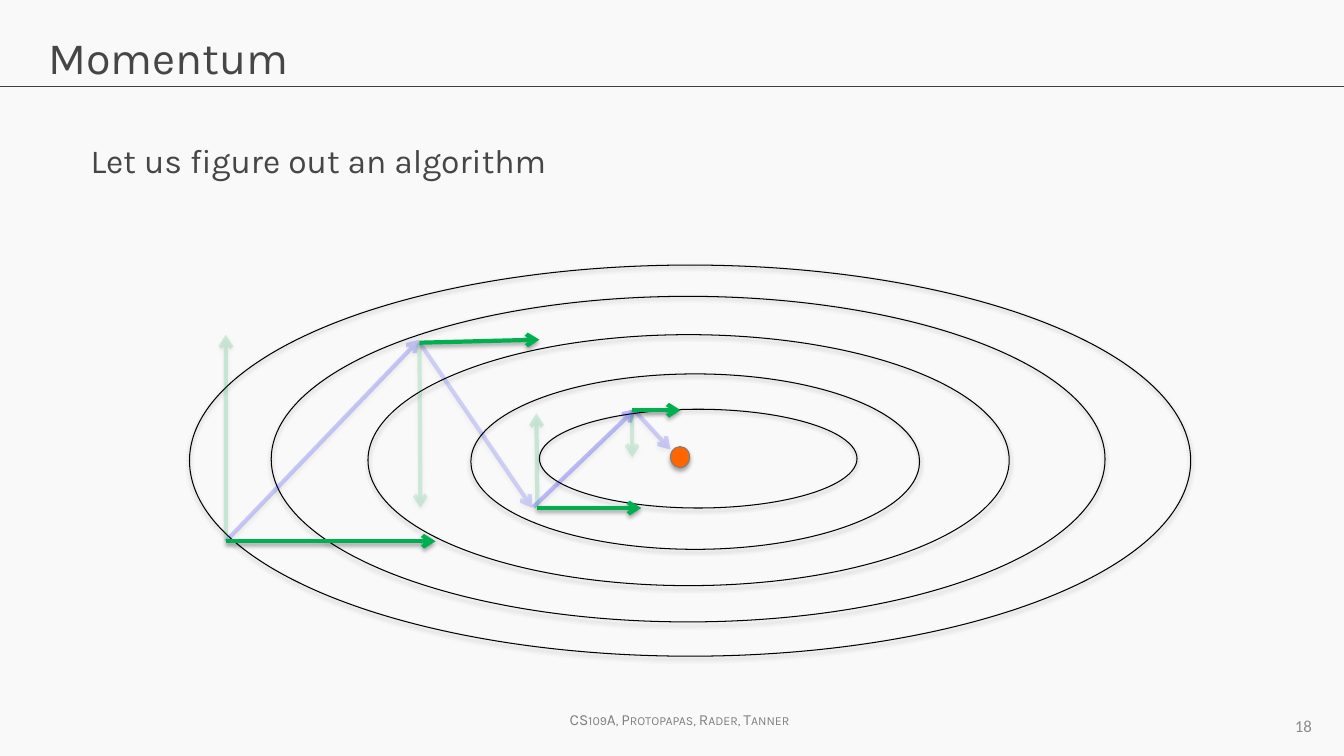
from lxml.etree import SubElement
from pptx import Presentation
from pptx.dml.color import RGBColor
from pptx.enum.shapes import MSO_CONNECTOR, MSO_SHAPE
from pptx.enum.text import MSO_ANCHOR, MSO_AUTO_SIZE, PP_ALIGN
from pptx.oxml.ns import qn
from pptx.util import Inches, Pt

PAPER = RGBColor(0xF9, 0xF9, 0xF9)
INK = RGBColor(0x46, 0x46, 0x46)
RULE = RGBColor(0x40, 0x40, 0x40)
FOOTER = RGBColor(0x80, 0x80, 0x80)
NUMBER = RGBColor(0x8C, 0x8C, 0x8C)
BLACK = RGBColor(0, 0, 0)
ORANGE = RGBColor(0xFF, 0x66, 0x00)
GRAY = RGBColor(0x7F, 0x7F, 0x7F)
BLUE = RGBColor(0, 0, 0xFF)
GREEN = RGBColor(0x00, 0xB0, 0x50)

CONTOURS = [
    (5.35, 4.06, 3.15, 0.98),
    (4.67, 3.71, 4.45, 1.74),
    (3.65, 3.32, 6.36, 2.49),
    (2.69, 2.94, 8.27, 3.23),
    (1.88, 2.63, 9.93, 3.88),
]
STEPS = [
    ((2.24, 5.37), (4.16, 3.37), 19),
    ((4.17, 3.41), (5.28, 5.04), 14),
    ((6.3, 4.08), (6.65, 4.46), 16),
    ((5.29, 5.03), (6.3, 4.06), 23),
]
COMPONENTS = [
    ((2.24, 5.37), (4.32, 5.37), (2.24, 3.32), 16),
    ((4.16, 3.4), (5.35, 3.37), (4.17, 5.04), 15),
    ((5.33, 5.04), (6.36, 5.04), (5.32, 4.1), 16),
    ((6.27, 4.07), (6.75, 4.07), (6.27, 4.54), 15),
]


def set_effects(shape, shadow=True):
    """Give a shape a soft drop shadow, or none at all."""
    properties = shape._element.spPr
    for old in properties.findall(qn("a:effectLst")):
        properties.remove(old)
    effects = SubElement(properties, qn("a:effectLst"))
    if shadow:
        outer = SubElement(effects, qn("a:outerShdw"), blurRad="40000",
                           dist="23000", dir="5400000", rotWithShape="0")
        color = SubElement(outer, qn("a:srgbClr"), val="000000")
        SubElement(color, qn("a:alpha"), val="35000")


def write(box, text, size, color, font="Karla", align=PP_ALIGN.LEFT,
          anchor=MSO_ANCHOR.TOP, wrap=True):
    """Fill a box with one formatted paragraph and return its run."""
    frame = box.text_frame
    frame.text = text
    frame.word_wrap = wrap
    frame.auto_size = MSO_AUTO_SIZE.NONE
    frame.vertical_anchor = anchor
    para = frame.paragraphs[0]
    para.alignment = align
    span = para.runs[0]
    span.font.size = Pt(size)
    span.font.name = font
    span.font.color.rgb = color
    return span


def add_label(page, place, *args, **options):
    """Add a text box at a place and return its run."""
    box = page.shapes.add_textbox(*map(Inches, place))
    return write(box, *args, **options)


def add_ellipse(page, place, line, fill=None):
    """Draw a shadowed ellipse, hollow unless a fill is given."""
    ellipse = page.shapes.add_shape(MSO_SHAPE.OVAL, *map(Inches, place))
    if fill is None:
        ellipse.fill.background()
    else:
        ellipse.fill.solid()
        ellipse.fill.fore_color.rgb = fill
    ellipse.line.color.rgb = line
    ellipse.line.width = Pt(0.75)
    set_effects(ellipse)


def add_line(page, start, end, color, width):
    """Draw a plain straight line and return it."""
    line = page.shapes.add_connector(MSO_CONNECTOR.STRAIGHT,
                                     *map(Inches, start + end))
    line.line.color.rgb = color
    line.line.width = Pt(width)
    set_effects(line, shadow=False)
    return line


def add_arrow(page, start, end, color, opacity=100):
    """Draw a thick shadowed arrow with the given opacity in percent."""
    arrow = add_line(page, start, end, color, 3)
    outline = arrow.line._get_or_add_ln()
    if opacity < 100:
        tint = outline.find(".//" + qn("a:srgbClr"))
        SubElement(tint, qn("a:alpha"), val=str(opacity * 1000))
    SubElement(outline, qn("a:tailEnd"), type="arrow")
    set_effects(arrow)


def main():
    """Build the momentum slide."""
    deck = Presentation()
    deck.slide_width, deck.slide_height = Inches(13.33), Inches(7.5)
    page = deck.slides.add_slide(deck.slide_layouts[5])
    page.background.fill.solid()
    page.background.fill.fore_color.rgb = PAPER

    add_line(page, (0, 0.86), (13.33, 0.86), RULE, 0.75)
    title = page.shapes.title
    title.left, title.top = Inches(0.38), Inches(0.24)
    title.width, title.height = Inches(12.57), Inches(0.84)
    write(title, "Momentum", 32, INK)
    add_label(page, (0.8, 1.34, 11.34, 0.64),
              "Let us figure out an algorithm", 24, INK)
    credit = add_label(page, (5.49, 7, 2.5, 0.29),
                       "CS109A, Protopapas, Rader, Tanner", 11, FOOTER,
                       align=PP_ALIGN.CENTER, wrap=False)
    credit.font._element.set("cap", "small")
    add_label(page, (10, 7, 3.11, 0.4), "18", 12, NUMBER, font="Calibri",
              align=PP_ALIGN.RIGHT, anchor=MSO_ANCHOR.MIDDLE)

    for place in CONTOURS:
        add_ellipse(page, place, BLACK)
    add_ellipse(page, (6.65, 4.43, 0.19, 0.21), GRAY, ORANGE)
    for start, end, opacity in STEPS:
        add_arrow(page, start, end, BLUE, opacity)
    for start, across, vertical, opacity in COMPONENTS:
        add_arrow(page, start, across, GREEN)
        add_arrow(page, start, vertical, GREEN, opacity)

    deck.save("out.pptx")


if __name__ == "__main__":
    main()
